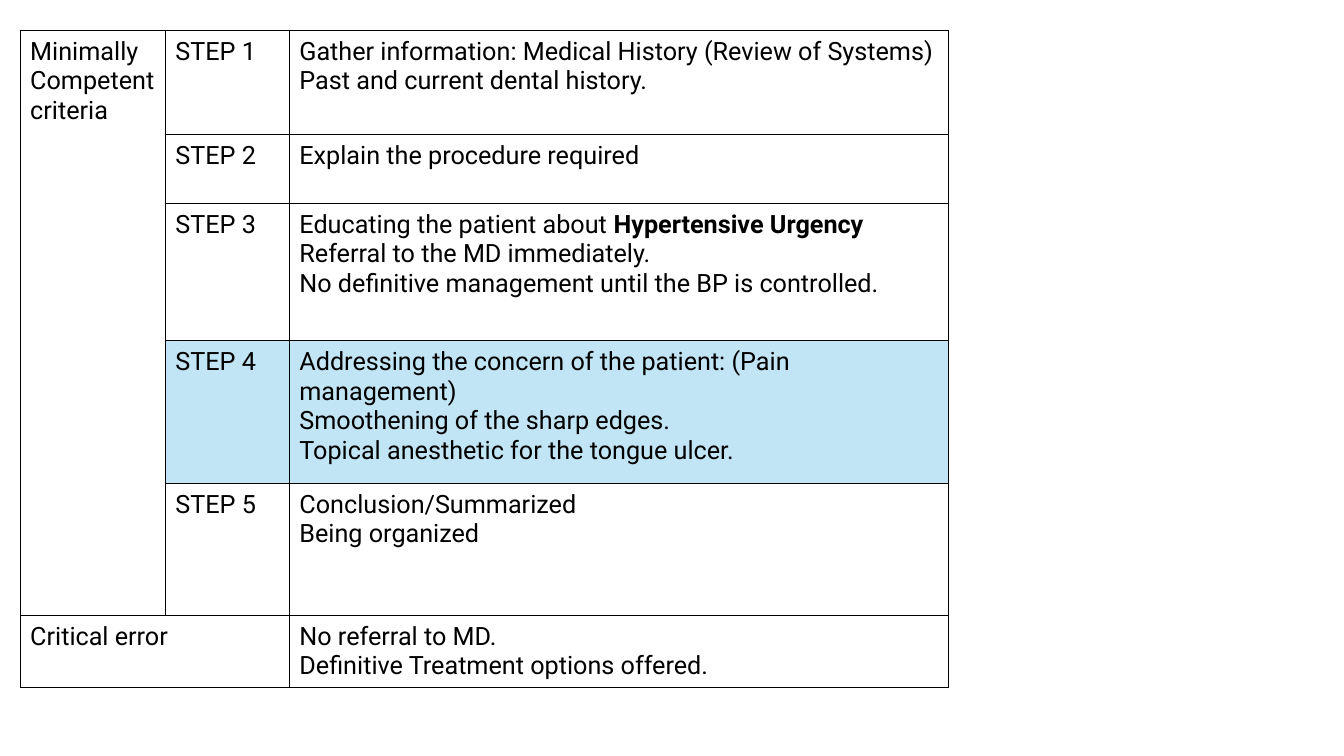
from dataclasses import dataclass

from lxml import etree
from pptx import Presentation
from pptx import util as u
from pptx.dml import color
from pptx.enum import text
from pptx.oxml import ns


@dataclass(frozen=True)
class Theme:
    font: str = "Roboto"
    size: int = 18
    ink: str = "000000"
    highlight: str = "C1E5F5"
    border: float = 0.75
    margin_x: float = 7.2
    margin_y: float = 4.8


THEME = Theme()
COLUMN_WIDTHS = (103.7, 88.6, 470.9)
ROW_HEIGHTS = (74.2, 49.3, 98.2, 101.8, 94.4, 51.4)
HIGHLIGHTED_STEP = 4

# Each step is a list of lines; asterisks enclose bold words
STEPS = (
    ("Gather information: Medical History (Review of Systems)",
     "Past and current dental history."),
    ("Explain the procedure required",),
    ("Educating the patient about *Hypertensive Urgency*",
     "Referral to the MD immediately.",
     "No definitive management until the BP is controlled."),
    ("Addressing the concern of the patient: (Pain management)",
     "Smoothening of the sharp edges.",
     "Topical anesthetic for the tongue ulcer."),
    ("Conclusion/Summarized", "Being organized"),
)
CRITICAL_ERRORS = ("No referral to MD.", "Definitive Treatment options offered.")


def add_borders(cell):
    properties = cell._tc.get_or_add_tcPr()
    for side in ("a:lnL", "a:lnR", "a:lnT", "a:lnB"):
        line = etree.SubElement(properties, ns.qn(side), w=str(u.Pt(THEME.border)))
        fill = etree.SubElement(line, ns.qn("a:solidFill"))
        etree.SubElement(fill, ns.qn("a:srgbClr"), val=THEME.ink)


def style_cell(cell):
    add_borders(cell)
    cell.fill.background()
    cell.margin_left = cell.margin_right = u.Pt(THEME.margin_x)
    cell.margin_top = cell.margin_bottom = u.Pt(THEME.margin_y)
    cell.vertical_anchor = text.MSO_ANCHOR.TOP


def write_cell(cell, lines):
    frame = cell.text_frame
    for index, line in enumerate(lines):
        para = frame.add_paragraph() if index else frame.paragraphs[0]
        for position, words in enumerate(line.split("*")):
            if not words:
                continue
            span = para.add_run()
            span.text = words
            span.font.name = THEME.font
            span.font.size = u.Pt(THEME.size)
            span.font.bold = position % 2 == 1
            span.font.color.rgb = color.RGBColor.from_string(THEME.ink)


def highlight_cell(cell):
    cell.fill.solid()
    cell.fill.fore_color.rgb = color.RGBColor.from_string(THEME.highlight)


def add_grid(page, left, top):
    frame = page.shapes.add_table(
        len(ROW_HEIGHTS), len(COLUMN_WIDTHS), u.Pt(left), u.Pt(top),
        u.Pt(sum(COLUMN_WIDTHS)), u.Pt(sum(ROW_HEIGHTS)))
    table = frame.table
    table.first_row = table.horz_banding = False
    for column, width in zip(table.columns, COLUMN_WIDTHS):
        column.width = u.Pt(width)
    for row, height in zip(table.rows, ROW_HEIGHTS):
        row.height = u.Pt(height)
    for cell in table.iter_cells():
        style_cell(cell)
    return table


def main():
    deck = Presentation()
    deck.slide_width, deck.slide_height = u.Pt(960), u.Pt(540)
    page = deck.slides.add_slide(deck.slide_layouts[6])
    table = add_grid(page, 14.4, 21.6)

    # Criteria heading beside the five steps
    last = len(STEPS)
    table.cell(0, 0).merge(table.cell(last - 1, 0))
    write_cell(table.cell(0, 0), ["Minimally Competent criteria"])
    for number, lines in enumerate(STEPS, start=1):
        label, details = table.cell(number - 1, 1), table.cell(number - 1, 2)
        write_cell(label, [f"STEP {number}"])
        write_cell(details, lines)
        if number == HIGHLIGHTED_STEP:
            highlight_cell(label)
            highlight_cell(details)

    # Critical errors in the closing row
    table.cell(last, 0).merge(table.cell(last, 1))
    write_cell(table.cell(last, 0), ["Critical error"])
    write_cell(table.cell(last, 2), CRITICAL_ERRORS)

    deck.save("out.pptx")


if __name__ == "__main__":
    main()
